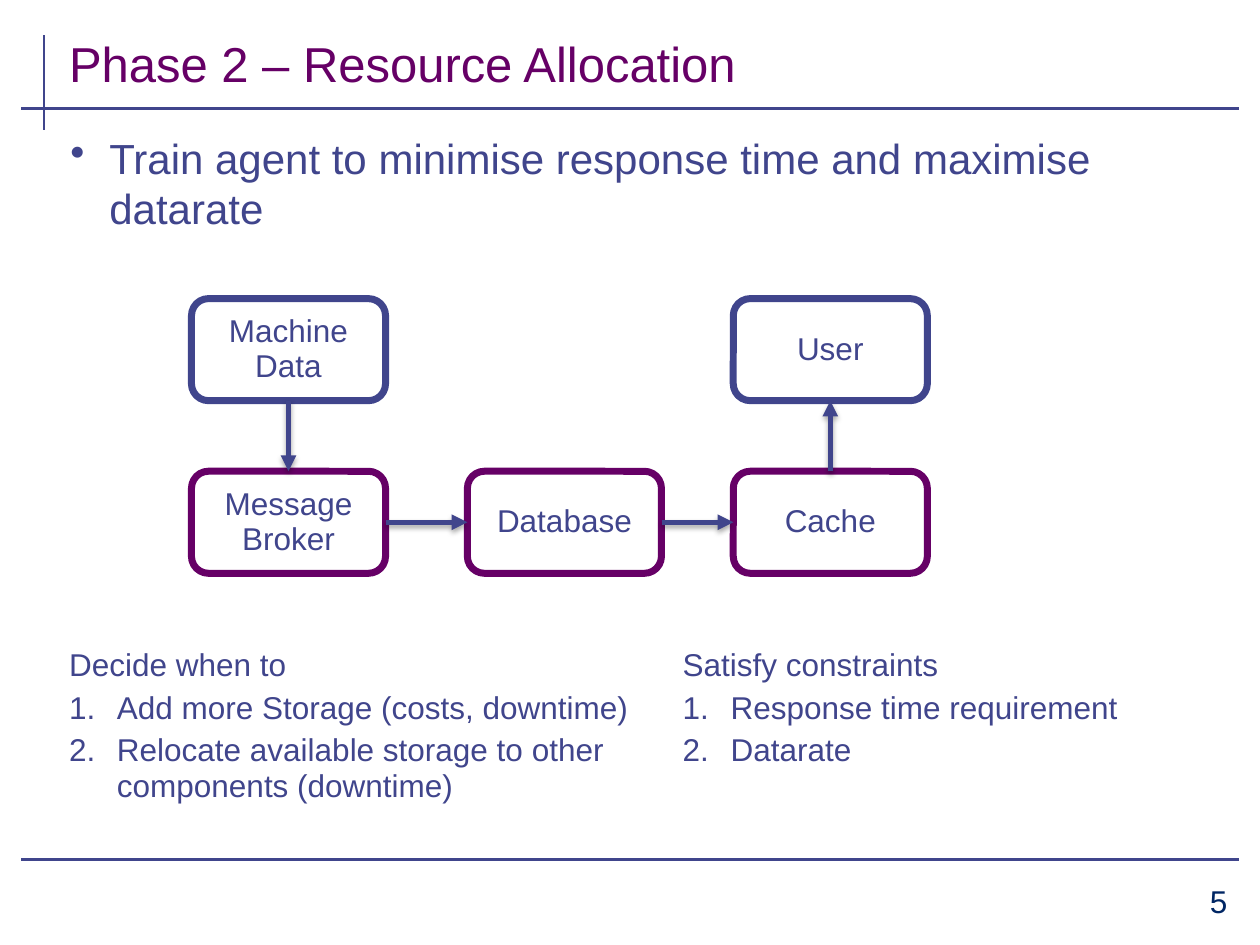
import pptx
import pptx.dml.color
import pptx.enum.shapes
import pptx.enum.text
import pptx.oxml
import pptx.oxml.ns
import pptx.util

INDIGO = pptx.dml.color.RGBColor(0x40, 0x45, 0x8C)
PURPLE = pptx.dml.color.RGBColor(0x66, 0x00, 0x66)
NAVY = pptx.dml.color.RGBColor(0x00, 0x26, 0x64)
WHITE = pptx.dml.color.RGBColor(0xFF, 0xFF, 0xFF)

ALIGN = pptx.enum.text.PP_ALIGN
ANCHOR = pptx.enum.text.MSO_ANCHOR
TOP, LEFT, BOTTOM, RIGHT = range(4)
COLS, ROWS = 100, 75

BULLET = '<a:buChar {ns} char="•"/>'
NUMBER = '<a:buAutoNum {ns} type="arabicPeriod"/>'
ARROWHEAD = '<a:tailEnd {ns} type="triangle"/>'
NO_EFFECT = '<a:effectLst {ns}/>'
SHADOW = ('<a:effectLst {ns}><a:outerShdw blurRad="39400" dist="22900" dir="5400000" '
          'rotWithShape="0"><a:srgbClr val="000000"><a:alpha val="35000"/></a:srgbClr>'
          '</a:outerShdw></a:effectLst>')


def add_xml(parent, xml):
    parent.append(pptx.oxml.parse_xml(xml.format(ns=pptx.oxml.ns.nsdecls("a"))))


def write(p, text, size=18, color=INDIGO, align=ALIGN.LEFT, spacing=0.93,
          before=0, marker=None, indent=0.38):
    """Fill one paragraph, with a bullet or number if a marker is given."""
    if marker:
        pPr = p._p.get_or_add_pPr()
        hang = pptx.util.Inches(indent)
        pPr.set("marL", str(hang))
        pPr.set("indent", str(-hang))
        add_xml(pPr, marker)
    p.alignment = align
    p.line_spacing = spacing
    p.space_before = pptx.util.Pt(before)
    r = p.add_run()
    r.text = text
    r.font.name = "Arial"
    r.font.size = pptx.util.Pt(size)
    r.font.color.rgb = color


class Deck:
    """Holds the presentation, its grid and the current slide."""

    def __init__(self):
        self.prs = pptx.Presentation()
        self.prs.slide_width = pptx.util.Inches(10)
        self.prs.slide_height = pptx.util.Inches(7.5)
        self.s = self.prs.slides.add_slide(self.prs.slide_layouts[6])

    def place(self, *lengths):
        """Turn alternating columns and rows into slide lengths."""
        units = (self.prs.slide_width / COLS, self.prs.slide_height / ROWS)
        return [round(n * units[i % 2]) for i, n in enumerate(lengths)]

    def text(self, at, paragraphs, anchor=ANCHOR.TOP):
        tf = self.s.shapes.add_textbox(*self.place(*at)).text_frame
        tf.word_wrap = True
        tf.vertical_anchor = anchor
        for i, (text, style) in enumerate(paragraphs):
            p = tf.add_paragraph() if i else tf.paragraphs[0]
            write(p, text, **style)

    def numbered_list(self, at, heading, items):
        self.text(at, [(heading, {})] +
                  [(item, dict(marker=NUMBER, before=4.2)) for item in items])

    def box(self, col, row, label, line):
        shape = pptx.enum.shapes.MSO_SHAPE.ROUNDED_RECTANGLE
        sp = self.s.shapes.add_shape(shape, *self.place(col, row, 15.4, 8.1))
        sp.shadow.inherit = False
        sp.fill.solid()
        sp.fill.fore_color.rgb = WHITE
        sp.line.color.rgb = line
        sp.line.width = pptx.util.Pt(4)
        tf = sp.text_frame
        tf.word_wrap = True
        tf.vertical_anchor = ANCHOR.MIDDLE
        write(tf.paragraphs[0], label, align=ALIGN.CENTER)
        return sp

    def line(self, ends=(0, 0, 0, 0), width=1.5, effect=NO_EFFECT):
        straight = pptx.enum.shapes.MSO_CONNECTOR.STRAIGHT
        sp = self.s.shapes.add_connector(straight, *self.place(*ends))
        sp.line.color.rgb = INDIGO
        sp.line.width = pptx.util.Pt(width)
        add_xml(sp._element.spPr, effect)
        return sp

    def arrow(self, start, start_side, end, end_side):
        sp = self.line(width=3, effect=SHADOW)
        sp.begin_connect(start, start_side)
        sp.end_connect(end, end_side)
        add_xml(sp.line._get_or_add_ln(), ARROWHEAD)


def main():
    deck = Deck()

    # Frame rules and page number
    deck.line((3.5, 2.8, 3.5, 10.3))
    for row in (8.6, 68.2):
        deck.line((1.7, row, 98.3, row))
    deck.text((85.4, 69.8, 13, 3.8), [("5", dict(color=NAVY, align=ALIGN.RIGHT))])

    # Title and main point
    deck.text((4.5, 1.6, 93.3, 6.2),
              [("Phase 2 – Resource Allocation", dict(size=28, color=PURPLE, spacing=1))],
              anchor=ANCHOR.BOTTOM)
    deck.text((4.6, 10, 92.8, 10),
              [("Train agent to minimise response time and maximise datarate",
                dict(size=24, spacing=1, marker=BULLET, indent=0.31))])

    # Data flow: outside parties above, managed components below
    first, middle, last = 15.2, 37.1, 58.2
    upper, lower = 23.7, 37.4
    machine = deck.box(first, upper, "Machine Data", INDIGO)
    user = deck.box(last, upper, "User", INDIGO)
    broker = deck.box(first, lower, "Message Broker", PURPLE)
    database = deck.box(middle, lower, "Database", PURPLE)
    cache = deck.box(last, lower, "Cache", PURPLE)
    deck.arrow(machine, BOTTOM, broker, TOP)
    deck.arrow(broker, RIGHT, database, LEFT)
    deck.arrow(database, RIGHT, cache, LEFT)
    deck.arrow(cache, TOP, user, BOTTOM)

    # Decisions and constraints
    deck.numbered_list((4.5, 51, 46.8, 13.5), "Decide when to",
                       ["Add more Storage (costs, downtime)",
                        "Relocate available storage to other components (downtime)"])
    deck.numbered_list((53.2, 51, 42.3, 10.7), "Satisfy constraints",
                       ["Response time requirement", "Datarate"])

    deck.prs.save("out.pptx")


if __name__ == "__main__":
    main()
